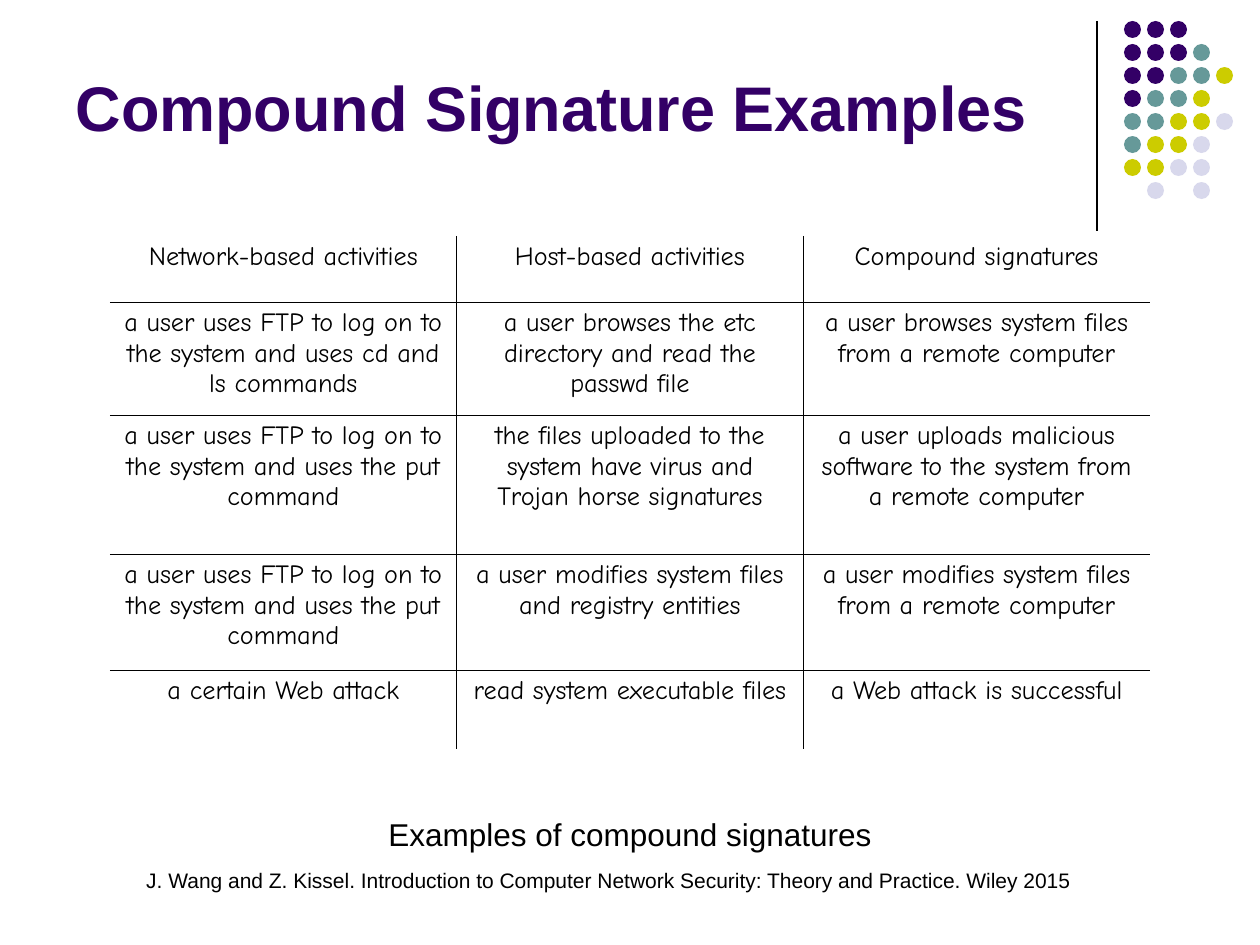
from lxml.etree import SubElement
from pptx import Presentation
from pptx.dml.color import RGBColor
from pptx.enum.shapes import MSO_CONNECTOR, MSO_SHAPE
from pptx.enum.text import MSO_ANCHOR, MSO_AUTO_SIZE, PP_ALIGN
from pptx.oxml import parse_xml
from pptx.oxml.ns import nsdecls, qn
from pptx.util import Pt

SCALE = 914400 / 126
HUES = {"P": "330066", "T": "669999", "Y": "CCCC00", "L": "D8D8EC"}
DOTS = ["PPP", "PPPT", "PPTTY", "PTTY", "TTYYL", "TYYL", "YYLL", " L L"]
HEIGHTS = [66, 113, 139, 116, 79]
ROWS = [
    ["Network-based activities", "Host-based activities", "Compound signatures"],
    ["a user uses FTP to log on to the system and uses cd and ls commands",
     "a user browses the etc directory and read the passwd file",
     "a user browses system files from a remote computer"],
    ["a user uses FTP to log on to the system and uses the put command",
     "the files uploaded to the system have virus and Trojan horse signatures",
     "a user uploads malicious software to the system from a remote computer"],
    ["a user uses FTP to log on to the system and uses the put command",
     "a user modifies system files and registry entities",
     "a user modifies system files from a remote computer"],
    ["a certain Web attack", "read system executable files",
     "a Web attack is successful"],
]


def px(*vals):
    """Turn pixel lengths into a list of EMU."""
    return [round(val * SCALE) for val in vals]


def color(code):
    """Turn a hex string into a colour."""
    return RGBColor.from_string(code)


def write(frame, text, size=15, font="Arial", hue="000000", bold=False,
          align=PP_ALIGN.CENTER, anchor=MSO_ANCHOR.TOP, wrap=True):
    """Put formatted text into a text frame."""
    frame.word_wrap = wrap
    if not wrap:
        frame.auto_size = MSO_AUTO_SIZE.SHAPE_TO_FIT_TEXT
    frame.vertical_anchor = anchor
    para = frame.paragraphs[0]
    para.alignment = align
    run = para.add_run()
    run.text = text
    run.font.size = Pt(size)
    run.font.name = font
    run.font.bold = bold
    run.font.color.rgb = color(hue)


def add_title(slide, text):
    """Place and fill the title."""
    title = slide.shapes.title
    title.left, title.top, title.width, title.height = px(63, 17, 1040, 179)
    write(title.text_frame, text, size=36, hue="330066", bold=True,
          align=PP_ALIGN.LEFT, anchor=MSO_ANCHOR.MIDDLE)


def add_label(slide, text, box, **style):
    """Add a text box."""
    label = slide.shapes.add_textbox(*px(*box))
    write(label.text_frame, text, **style)


def add_rule(slide, *ends):
    """Add a thin black line."""
    rule = slide.shapes.add_connector(MSO_CONNECTOR.STRAIGHT, *px(*ends))
    rule.line.color.rgb = color("000000")
    rule.line.width = Pt(0.75)
    SubElement(rule._element.spPr, qn("a:effectLst"))


def add_dots(slide, left, top, step, size):
    """Add the grid of coloured dots."""
    for row, keys in enumerate(DOTS):
        for col, key in enumerate(keys):
            if key == " ":
                continue
            spot = px(left + col * step, top + row * step, size, size)
            dot = slide.shapes.add_shape(MSO_SHAPE.OVAL, *spot)
            dot.shadow.inherit = False
            dot.fill.solid()
            dot.fill.fore_color.rgb = color(HUES[key])
            dot.line.fill.background()


def set_edges(cell, **edges):
    """Draw the chosen cell edges and clear the others."""
    props = cell._tc.get_or_add_tcPr()
    ink = '<a:solidFill><a:srgbClr val="000000"/></a:solidFill>'
    for spot, (side, shown) in enumerate(edges.items()):
        fill = ink if shown else "<a:noFill/>"
        xml = f'<a:ln{side} {nsdecls("a")} w="{Pt(0.45)}">{fill}</a:ln{side}>'
        props.insert(spot, parse_xml(xml))


def add_grid(slide, left, top, width):
    """Add the table with inner rules only."""
    last, end = len(ROWS) - 1, len(ROWS[0]) - 1
    box = px(left, top, width, sum(HEIGHTS))
    grid = slide.shapes.add_table(last + 1, end + 1, *box).table
    grid.first_row = grid.horz_banding = False
    for row, texts in enumerate(ROWS):
        grid.rows[row].height = px(HEIGHTS[row])[0]
        for col, text in enumerate(texts):
            cell = grid.cell(row, col)
            cell.fill.background()
            write(cell.text_frame, text, font="Comic Neue")
            set_edges(cell, L=col > 0, R=col < end, T=row > 0, B=row < last)


def main():
    """Build and save the slide."""
    deck = Presentation()
    deck.slide_width, deck.slide_height = px(1260, 945)
    slide = deck.slides.add_slide(deck.slide_layouts[5])
    add_rule(slide, 1097, 21, 1097, 231)
    add_dots(slide, left=1124, top=21, step=23, size=17)
    add_title(slide, "Compound Signature Examples")
    add_grid(slide, left=110, top=236, width=1040)
    add_label(slide, "Examples of compound signatures", (375, 809, 510, 50),
              size=18, wrap=False)
    add_label(slide, "J. Wang and Z. Kissel. Introduction to Computer Network "
              "Security: Theory and Practice. Wiley 2015",
              (63, 861, 1092, 63), size=12)
    deck.save("out.pptx")


if __name__ == "__main__":
    main()
